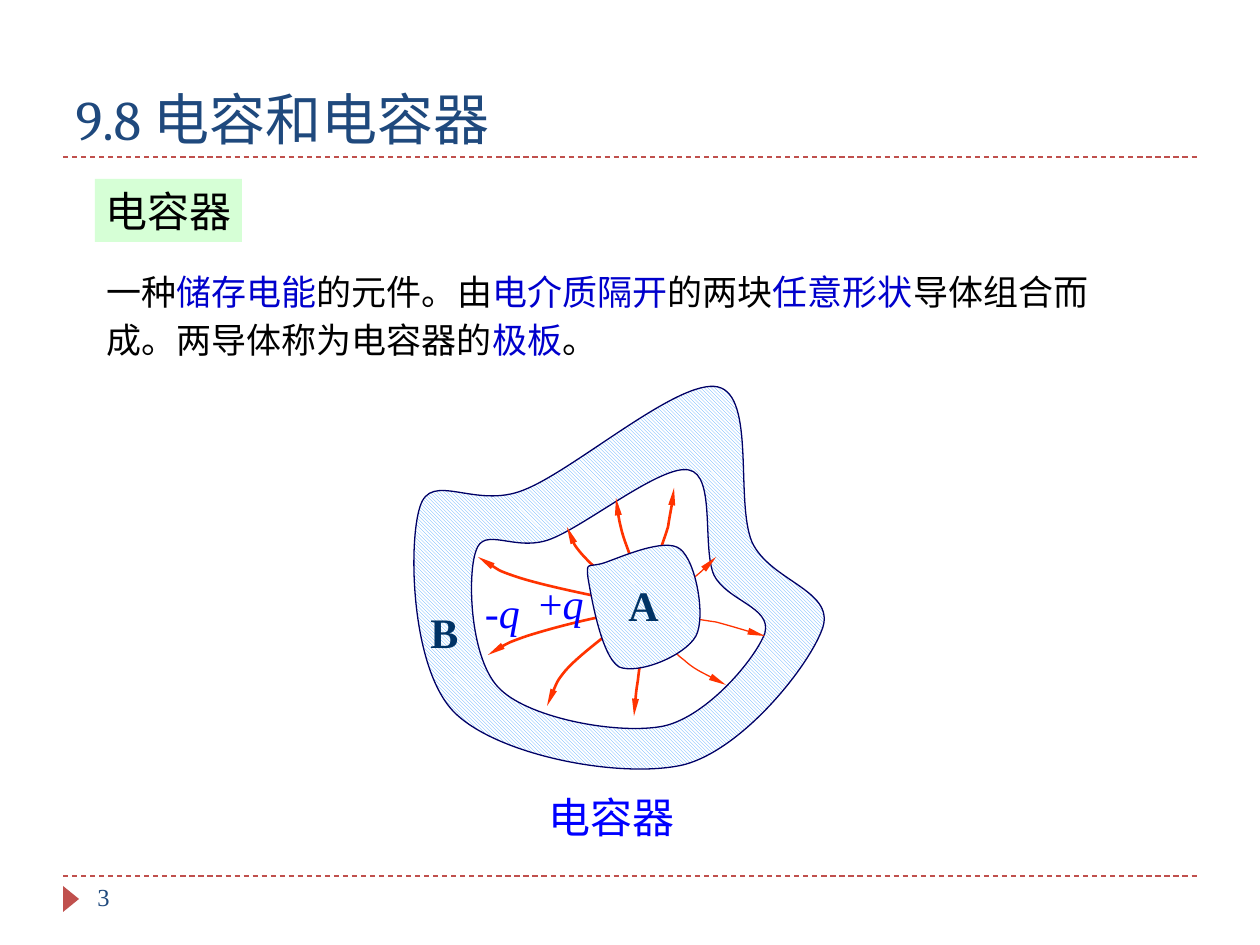
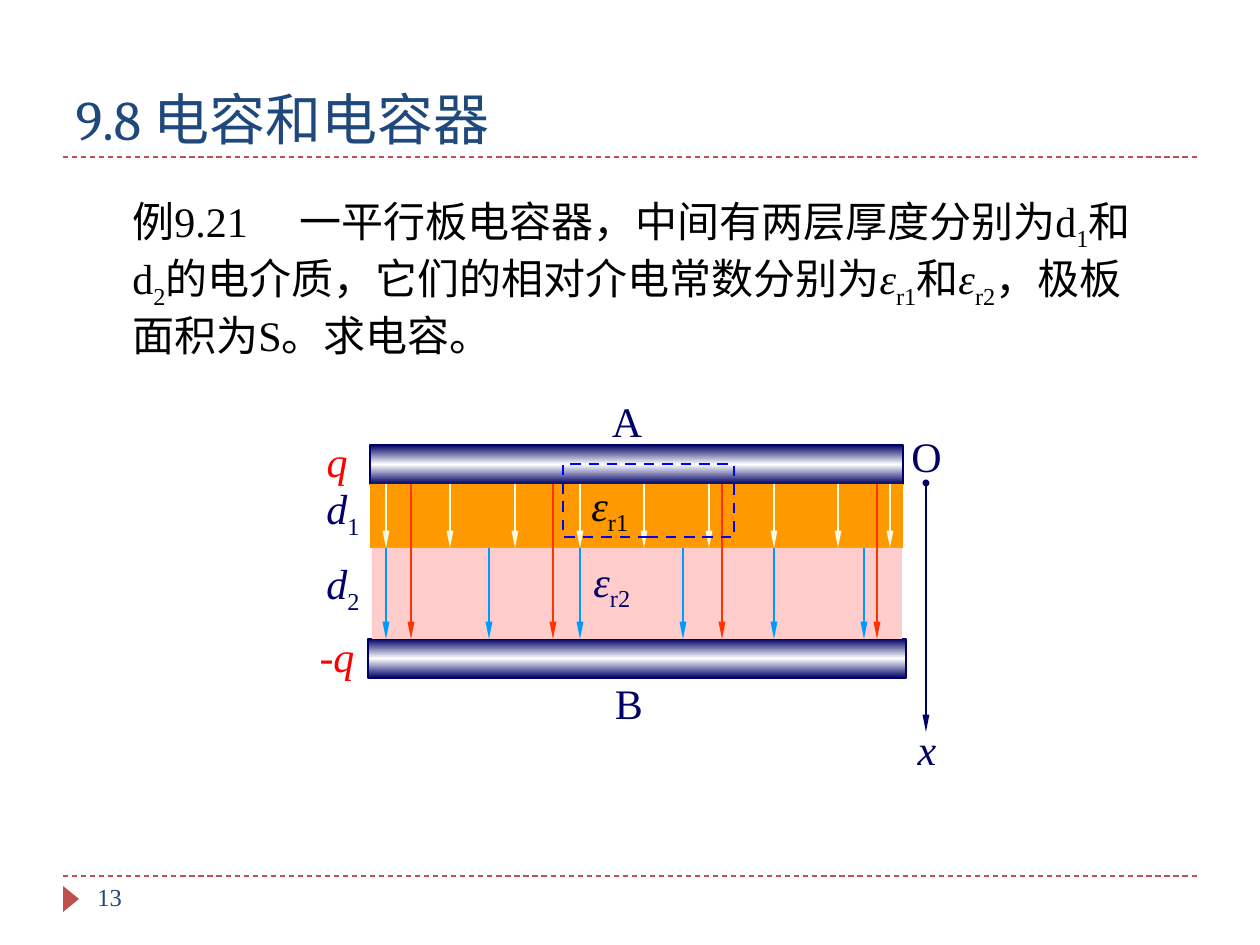
from copy import deepcopy
from pptx import Presentation
from pptx.dml.color import RGBColor
from pptx.enum.dml import MSO_LINE as Dash, MSO_PATTERN as Pat
from pptx.enum.shapes import MSO_CONNECTOR as Link, MSO_SHAPE as Kind
from pptx.enum.text import MSO_ANCHOR as Anchor, PP_ALIGN as Align
from pptx.oxml.ns import qn
from pptx.oxml.xmlchemy import OxmlElement
from pptx.util import Pt

PX = 914400 / 126
SERIF = "Times New Roman"
NAVY, BLUE, KEY, RED, FLOW = "000066", "0000FF", "0000CC", "FF0000", "FF3300"
INK, SLATE, BRICK = "000000", "1F497D", "C0504D"
rgb = RGBColor.from_string


def pen(shape, color=None, width=0.75, dash=None, head=None, tail=None):
    if color:
        shape.line.color.rgb = rgb(color)
        shape.line.width = Pt(width)
        if dash:
            shape.line.dash_style = dash
    else:
        shape.line.fill.background()
    props = shape._element.spPr
    for tag, end, size in (("a:headEnd", head, "sm"), ("a:tailEnd", tail, "lg")):
        if end:
            tip = OxmlElement(tag)
            tip.set("type", end)
            tip.set("w", "sm")
            tip.set("len", size)
            props.find(qn("a:ln")).append(tip)
    props.append(OxmlElement("a:effectLst"))


def write(slide, box, runs, color=INK, size=24, face=SERIF, align=Align.LEFT,
          wrap=True, inset=None, lead=None, tab=None):
    area = slide.shapes.add_textbox(*[round(v * PX) for v in box])
    frame = area.text_frame
    frame.word_wrap = wrap
    if inset is not None:
        frame.margin_left = frame.margin_right = round(inset * PX)
        frame.margin_top = frame.margin_bottom = round(inset * PX)
    para = frame.paragraphs[0]
    para.alignment = align
    if lead:
        para.line_spacing = lead
    if tab:
        stops = OxmlElement("a:tabLst")
        stop = OxmlElement("a:tab")
        stop.set("pos", str(round(tab * PX)))
        stop.set("algn", "l")
        stops.append(stop)
        para._p.get_or_add_pPr().append(stops)
    para.font.name, para.font.size = face, Pt(size)
    para.font.color.rgb = rgb(color)
    for text, mark in runs:
        run = para.add_run()
        run.text = text
        font = para.font if len(runs) == 1 else run.font
        if mark == "i":
            font.italic = True
        elif mark == "b":
            font.bold = True
        elif mark == "sub":
            run._r.get_or_add_rPr().set("baseline", "-25000")
        elif mark:
            font.color.rgb = rgb(mark)
    return area


deck = Presentation()
deck.slide_width, deck.slide_height = round(1260 * PX), round(945 * PX)
layout = deck.slide_layouts[5]

for page in ("3", "13"):
    slide = deck.slides.add_slide(layout)
    title = slide.shapes.title
    title.left, title.top, title.width, title.height = [
        round(v * PX) for v in (63, 32, 1134, 126)]
    title.text_frame.text = "9.8 电容和电容器"
    title.text_frame.vertical_anchor = Anchor.BOTTOM
    para = title.text_frame.paragraphs[0]
    para.alignment = Align.LEFT
    para.font.name, para.font.size = "Cambria", Pt(32)
    para.font.color.rgb = rgb(SLATE)
    write(slide, (85, 876, 273, 50), [(page, "")], SLATE, 14)

first, second = deck.slides

band = [first.shapes.add_connector(
    Link.STRAIGHT, *[round(v * PX) for v in (63, y, 1197, y)]) for y in (876, 157)]
for rule in band:
    pen(rule, BRICK, dash=Dash.DASH)
mark = first.shapes.add_shape(
    Kind.ISOSCELES_TRIANGLE, *[round(v * PX) for v in (58, 891, 26, 16)])
mark.rotation = 90
mark.fill.solid()
mark.fill.fore_color.rgb = rgb(BRICK)
pen(mark)
for part in band + [mark]:
    layout.shapes._spTree.append(part._element)

label = write(first, (95, 179, 147, 63), [("电容器", "")], face="Arial",
              align=Align.CENTER, wrap=False, inset=6)
label.text_frame.vertical_anchor = Anchor.MIDDLE
label.fill.solid()
label.fill.fore_color.rgb = rgb("D6FFD6")
write(first, (94, 258, 1013, 110), [
    ("一种", ""), ("储存电能", KEY), ("的元件。由", ""), ("电介质隔开", KEY),
    ("的两块", ""), ("任意形状", KEY), ("导体组合而成。两导体称为电容器的", ""),
    ("极板", KEY), ("。", "")], size=20, lead=1.15)

shell = [420, 507, 408, 544, 411, 670, 455, 713, 499, 756, 621, 779, 683, 765,
         743, 750, 811, 664, 823, 627, 834, 590, 770, 581, 752, 542,
         735, 501, 756, 396, 718, 387, 679, 378, 575, 470, 524, 490,
         475, 510, 431, 470, 420, 507]
hollow = [476, 551, 467, 576, 470, 662, 501, 690, 532, 719, 620, 735, 664, 726,
          708, 716, 756, 658, 765, 633, 772, 607, 727, 601, 714, 575,
          702, 547, 716, 475, 689, 470, 662, 464, 587, 525, 551, 539,
          515, 553, 484, 525, 476, 551]
core = [604, 563, 588, 568, 586, 561, 588, 578, 591, 595, 601, 656, 619, 667,
        638, 675, 685, 656, 696, 636, 706, 617, 696, 561, 680, 549,
        665, 537, 619, 558, 604, 563]
thick = [
    [605, 636, 590, 648, 576, 659, 566, 670, 556, 682, 552, 694, 547, 706],
    [644, 646, 641, 658, 639, 669, 638, 680, 636, 692, 635, 704, 634, 716],
    [595, 596, 566, 590, 535, 583, 517, 577, 496, 570, 488, 563, 478, 557],
    [605, 616, 575, 622, 546, 630, 527, 636, 507, 643, 496, 649, 488, 655],
    [605, 576, 595, 568, 586, 559, 580, 552, 573, 543, 570, 536, 567, 527],
    [634, 567, 630, 554, 625, 543, 622, 532, 619, 520, 617, 509, 616, 498],
    [654, 567, 659, 553, 664, 540, 668, 527, 670, 514, 673, 501, 674, 488]]
thin = [
    [664, 636, 669, 644, 674, 653, 684, 660, 694, 669, 711, 677, 726, 685],
    [675, 616, 687, 617, 701, 620, 716, 622, 731, 626, 747, 631, 765, 636],
    [675, 586, 682, 583, 689, 581, 696, 576, 702, 571, 709, 564, 716, 557]]

curves = [(shell, "hatch", 0.75), (hollow, "white", 0.75)]
curves += [(nums, "", 1.5) for nums in thick] + [(nums, "", 0.75) for nums in thin]
curves += [(core, "hatch", 0.75)]
for nums, fill, width in curves:
    knots = list(zip(nums[::2], nums[1::2]))
    build = first.shapes.build_freeform(*knots[0], scale=PX)
    build.add_line_segments(knots[1:], close=bool(fill))
    curve = build.convert_to_shape()
    legs = list(curve._element.spPr.iter(qn("a:lnTo")))
    for k in range(0, len(knots) - 1, 3):
        bend = OxmlElement("a:cubicBezTo")
        legs[k].addprevious(bend)
        for leg in legs[k:k + 3]:
            bend.append(leg[0])
            leg.getparent().remove(leg)
    if fill == "hatch":
        curve.fill.patterned()
        curve.fill.pattern = Pat.LIGHT_DOWNWARD_DIAGONAL
        curve.fill.fore_color.rgb = rgb("4FA7FF")
        curve.fill.back_color.rgb = rgb("FFFFFF")
    elif fill:
        curve.fill.solid()
        curve.fill.fore_color.rgb = rgb("FFFFFF")
    else:
        curve.fill.background()
    pen(curve, NAVY if fill else FLOW, width, tail=None if fill else "triangle")

write(first, (484, 585, 78, 84), [("-q", "i")], BLUE, inset=1)
write(first, (538, 577, 77, 63), [("+", ""), ("q", "i")], BLUE, inset=1)
write(first, (488, 785, 248, 63), [("电容器", "")], BLUE, align=Align.CENTER)
write(first, (418, 600, 69, 63), [("B", "b")], "003366")
write(first, (616, 573, 69, 63), [("A", "b")], "003366")

write(second, (120, 189, 1050, 165), [
    ("例9.21\t一平行板电容器，中间有两层厚度分别为d", ""), ("1", "sub"),
    ("和d", ""), ("2", "sub"), ("的电介质，它们的相对介电常数分别为", ""),
    ("ε", "i"), ("r1", "sub"), ("和", ""), ("ε", "i"), ("r2", "sub"),
    ("，极板面积为S。求电容。", "")], tab=167)

for box in ((370, 445, 533, 39), (368, 639, 538, 39)):
    plate = second.shapes.add_shape(Kind.RECTANGLE, *[round(v * PX) for v in box])
    plate.fill.gradient()
    plate.fill.gradient_angle = 90
    stops = plate._element.spPr.find(".//" + qn("a:gsLst"))
    stops.insert(1, deepcopy(stops[0]))
    for stop, spot, color in zip(plate.fill.gradient_stops, (0, 0.5, 1),
                                 (NAVY, "FFFFFF", NAVY)):
        stop.position = spot
        stop.color.rgb = rgb(color)
    pen(plate, NAVY, 1.5)

for box, color in (((370, 484, 533, 64), "FF9900"), ((372, 548, 530, 91), "FFCCCC")):
    layer = second.shapes.add_shape(Kind.RECTANGLE, *[round(v * PX) for v in box])
    layer.fill.solid()
    layer.fill.fore_color.rgb = rgb(color)
    pen(layer)

for y, sub in ((480, "1"), (555, "2")):
    depth = write(second, (313, y, 60, 63), [("d", "i"), (sub, "sub")], NAVY,
                  align=Align.CENTER, wrap=False)
    depth.text_frame.vertical_anchor = Anchor.MIDDLE

fields = [
    ((386, 450, 515, 580, 644, 709, 774, 838, 890), 484, 548, "FBFAE2", None),
    ((386, 489, 580, 683, 774, 864), 548, 639, "0099FF", None),
    ((411, 553, 722, 877), 484, 639, FLOW, None),
    ((926,), 483, 732, NAVY, "oval")]
for xs, top, end, color, head in fields:
    for x in xs:
        arrow = second.shapes.add_connector(
            Link.STRAIGHT, *[round(v * PX) for v in (x, top, x, end)])
        pen(arrow, color, 1.5, head=head, tail="triangle")

gauss = second.shapes.add_shape(
    Kind.RECTANGLE, *[round(v * PX) for v in (563, 464, 171, 73)])
gauss.fill.background()
pen(gauss, BLUE, 1.5, dash=Dash.DASH)

write(second, (581, 549, 122, 63), [("ε", "i"), ("r2", "sub")], NAVY)
write(second, (579, 473, 122, 63), [("ε", "i"), ("r1", "sub")])
for box, text, mark, color in (
        ((896, 717, 62, 63), "x", "i", NAVY),
        ((886, 424, 81, 63), "O", "", NAVY),
        ((272, 429, 130, 63), "q", "i", RED),
        ((272, 624, 130, 63), "-q", "i", RED),
        ((598, 389, 58, 63), "A", "", NAVY),
        ((600, 671, 58, 63), "B", "", NAVY)):
    write(second, box, [(text, mark)], color, align=Align.CENTER)

deck.save("out.pptx")
